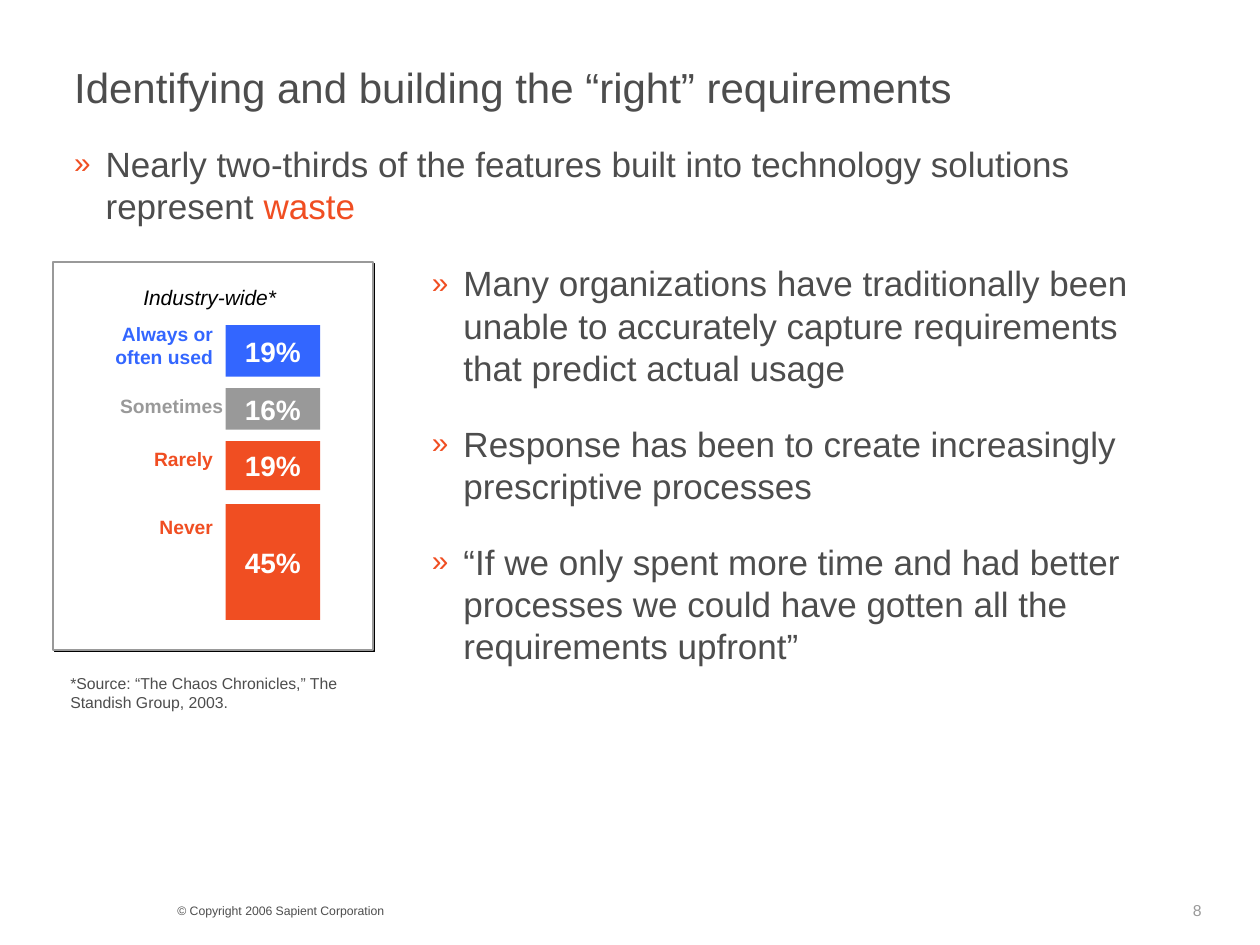
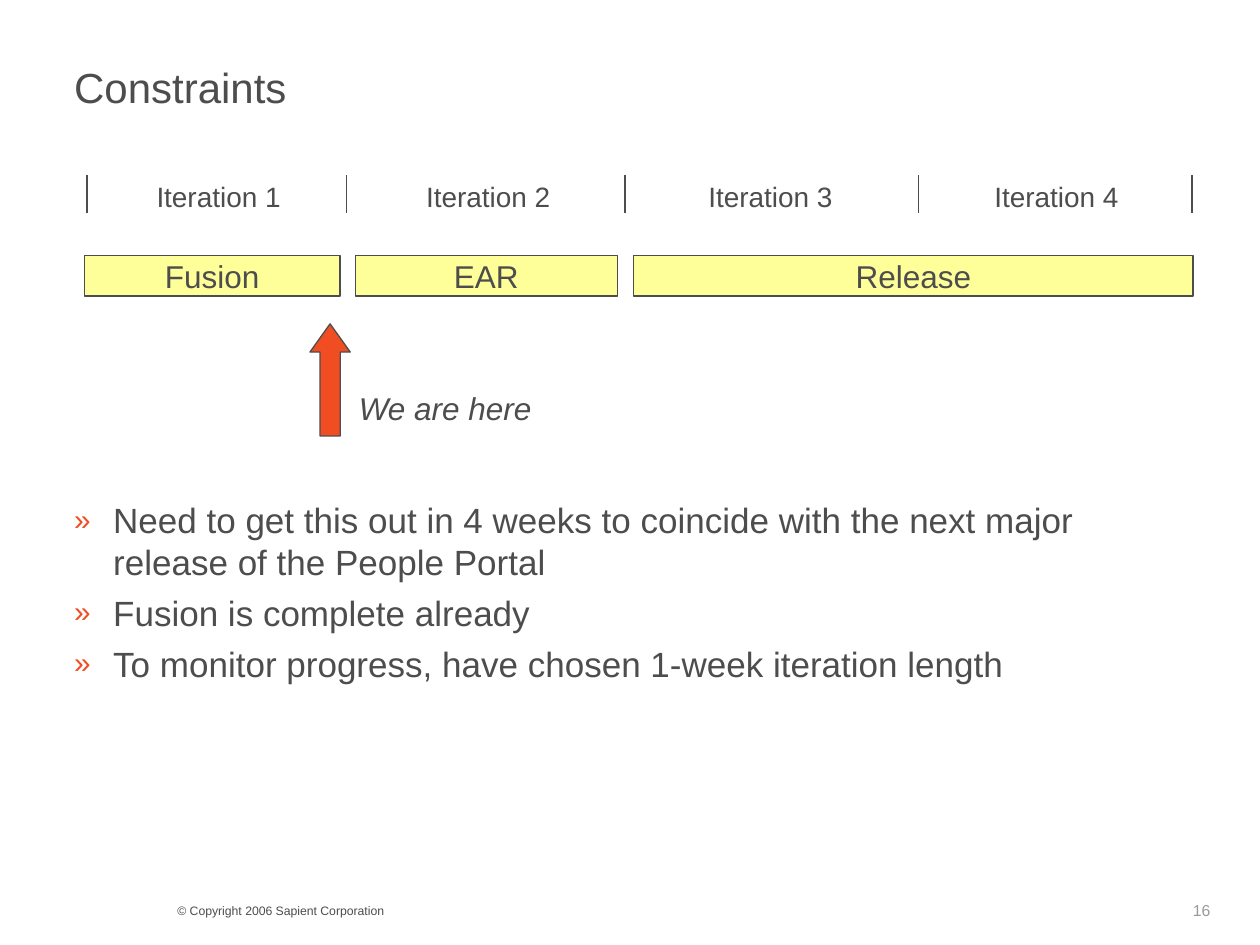
import dataclasses
import typing

import lxml.etree
import pptx
import pptx.dml.color
import pptx.enum.shapes
import pptx.enum.text
import pptx.oxml.ns
import pptx.util

Inches = pptx.util.Inches
Pt = pptx.util.Pt
RGBColor = pptx.dml.color.RGBColor
Align = pptx.enum.text.PP_ALIGN
Anchor = pptx.enum.text.MSO_ANCHOR
Shape = pptx.enum.shapes.MSO_SHAPE
qn = pptx.oxml.ns.qn

CHARCOAL = RGBColor(0x4D, 0x4D, 0x4D)
GRAY = RGBColor(0x99, 0x99, 0x99)
ORANGE = RGBColor(0xF0, 0x4E, 0x22)
BLUE = RGBColor(0x33, 0x66, 0xFF)
YELLOW = RGBColor(0xFF, 0xFF, 0x99)
WHITE = RGBColor(0xFF, 0xFF, 0xFF)
BLACK = RGBColor(0x00, 0x00, 0x00)

FONT = "Arial"
LINE_WIDTH = Pt(0.75)


class Area(typing.NamedTuple):
    """Left, top, width and height in inches."""

    left: float
    top: float
    width: float
    height: float

    def lengths(self) -> list[pptx.util.Length]:
        return [Inches(value) for value in self]


@dataclasses.dataclass(frozen=True)
class Style:
    size: float
    color: RGBColor = CHARCOAL
    bold: bool = False
    italic: bool = False
    align: Align = Align.LEFT


class Span(typing.NamedTuple):
    text: str
    color: RGBColor = CHARCOAL


@dataclasses.dataclass(frozen=True)
class UsageBar:
    label: str
    share: str
    color: RGBColor
    top: float
    height: float
    label_top: float
    label_right: float = 1.79


class Phase(typing.NamedTuple):
    name: str
    left: float
    right: float


TITLE = Style(24)
BODY = Style(20)
COPYRIGHT = Style(7)
PAGE_NUMBER = Style(9, GRAY)
SOURCE = Style(9)
CHART_TITLE = Style(12, BLACK, italic=True, align=Align.CENTER)
SHARE = Style(16, WHITE, bold=True, align=Align.CENTER)
ITERATION = Style(16, align=Align.CENTER)
PHASE = Style(18, align=Align.CENTER)
MARKER = Style(18, italic=True)

USAGE_BARS = [
    UsageBar("Always or often used", "19%", BLUE, 2.58, 0.41, 2.51),
    UsageBar("Sometimes", "16%", GRAY, 3.08, 0.33, 3.08, 1.87),
    UsageBar("Rarely", "19%", ORANGE, 3.5, 0.39, 3.5),
    UsageBar("Never", "45%", ORANGE, 4, 0.92, 4.04),
]
BAR_LEFT, BAR_WIDTH, LABEL_WIDTH = 1.79, 0.75, 1.33

ITERATION_TICKS = [0.69, 2.75, 4.96, 7.29, 9.46]
ITERATION_LEFTS = [0.93, 3.07, 5.31, 7.58]
TICK_TOP, TICK_BOTTOM = 1.39, 1.69
PHASES = [
    Phase("Fusion", 0.67, 2.7),
    Phase("EAR", 2.82, 4.9),
    Phase("Release", 5.03, 9.47),
]


def add_run(para, text: str, style: Style, color: RGBColor) -> None:
    run = para.add_run()
    run.text = text
    run.font.name = FONT
    run.font.size = Pt(style.size)
    run.font.bold = style.bold
    run.font.italic = style.italic
    run.font.color.rgb = color


def write_line(frame, text: str, style: Style) -> None:
    para = frame.paragraphs[0]
    para.alignment = style.align
    add_run(para, text, style, style.color)


def add_frame(page, area: Area):
    frame = page.shapes.add_textbox(*area.lengths()).text_frame
    frame.word_wrap = True
    return frame


def add_text(page, area: Area, text: str, style: Style) -> None:
    write_line(add_frame(page, area), text, style)


def add_bullets(
    page, area: Area, items: list[list[Span]], indent: float, gap: float
) -> None:
    """Write one bulleted paragraph per item, with gap points between them."""
    frame = add_frame(page, area)
    for index, spans in enumerate(items):
        para = frame.add_paragraph() if index else frame.paragraphs[0]
        properties = para._p.get_or_add_pPr()
        properties.set("marL", str(Inches(indent)))
        properties.set("indent", str(-Inches(indent)))
        bullet_color = lxml.etree.SubElement(properties, qn("a:buClr"))
        lxml.etree.SubElement(bullet_color, qn("a:srgbClr"), val=str(ORANGE))
        lxml.etree.SubElement(properties, qn("a:buSzPct"), val="85000")
        lxml.etree.SubElement(properties, qn("a:buFont"), typeface=FONT)
        lxml.etree.SubElement(properties, qn("a:buChar"), char="»")
        if index:
            para.space_before = Pt(gap)
        for span in spans:
            add_run(para, span.text, BODY, span.color)


def add_block(
    page,
    area: Area,
    fill: RGBColor,
    line: RGBColor | None = None,
    kind: Shape = Shape.RECTANGLE,
):
    block = page.shapes.add_shape(kind, *area.lengths())
    block.shadow.inherit = False
    block.fill.solid()
    block.fill.fore_color.rgb = fill
    if line is None:
        block.line.fill.background()
    else:
        block.line.color.rgb = line
        block.line.width = LINE_WIDTH
    return block


def add_labelled_block(
    page, area: Area, fill: RGBColor, line: RGBColor | None, text: str, style: Style
) -> None:
    frame = add_block(page, area, fill, line).text_frame
    frame.vertical_anchor = Anchor.MIDDLE
    frame.word_wrap = True
    write_line(frame, text, style)


def add_hard_shadow(block) -> None:
    effects = block._element.spPr.find(qn("a:effectLst"))
    shadow = lxml.etree.SubElement(
        effects,
        qn("a:outerShdw"),
        blurRad="0",
        dist=str(Pt(1.4)),
        dir="2700000",
        algn="ctr",
        rotWithShape="0",
    )
    lxml.etree.SubElement(shadow, qn("a:srgbClr"), val=str(BLACK))


def add_tick(page, x: float) -> None:
    tick = page.shapes.add_connector(
        pptx.enum.shapes.MSO_CONNECTOR.STRAIGHT,
        Inches(x),
        Inches(TICK_TOP),
        Inches(x),
        Inches(TICK_BOTTOM),
    )
    tick.line.color.rgb = CHARCOAL
    tick.line.width = LINE_WIDTH
    lxml.etree.SubElement(tick._element.spPr, qn("a:effectLst"))


def add_page(deck, title: str, number: int):
    """Add a blank slide with the shared title and footer."""
    page = deck.slides.add_slide(deck.slide_layouts[6])
    add_text(
        page, Area(1.31, 7.12, 4, 0.22), "© Copyright 2006 Sapient Corporation", COPYRIGHT
    )
    add_text(page, Area(9.37, 7.1, 0.6, 0.24), str(number), PAGE_NUMBER)
    add_text(page, Area(0.49, 0.44, 9, 0.55), title, TITLE)
    return page


def add_usage_panel(page) -> None:
    panel = add_block(page, Area(0.42, 2.08, 2.54, 3.08), WHITE, GRAY)
    add_hard_shadow(panel)
    add_text(page, Area(0.76, 2.21, 1.81, 0.3), "Industry-wide*", CHART_TITLE)
    for bar in USAGE_BARS:
        bar_area = Area(BAR_LEFT, bar.top, BAR_WIDTH, bar.height)
        add_labelled_block(page, bar_area, bar.color, None, bar.share, SHARE)
        label_area = Area(bar.label_right - LABEL_WIDTH, bar.label_top, LABEL_WIDTH, 0.29)
        label_style = Style(11, bar.color, bold=True, align=Align.RIGHT)
        add_text(page, label_area, bar.label, label_style)
    add_text(
        page,
        Area(0.46, 5.3, 2.58, 0.55),
        "*Source: “The Chaos Chronicles,” The Standish Group, 2003.",
        SOURCE,
    )


def build_requirements_page(deck) -> None:
    page = add_page(deck, "Identifying and building the “right” requirements", 8)
    finding = [
        Span("Nearly two-thirds of the features built into technology solutions represent "),
        Span("waste", ORANGE),
    ]
    add_bullets(page, Area(0.49, 1.08, 9, 0.9), [finding], 0.25, 0)
    add_usage_panel(page)
    reasons = [
        "Many organizations have traditionally been unable to accurately capture "
        "requirements that predict actual usage",
        "Response has been to create increasingly prescriptive processes",
        "“If we only spent more time and had better processes we could have gotten "
        "all the requirements upfront”",
    ]
    items = [[Span(reason)] for reason in reasons]
    add_bullets(page, Area(3.33, 2.03, 5.92, 3.91), items, 0.25, 19.5)


def build_constraints_page(deck) -> None:
    page = add_page(deck, "Constraints", 16)
    constraints = [
        "Need to get this out in 4 weeks to coincide with the next major release "
        "of the People Portal",
        "Fusion is complete already",
        "To monitor progress, have chosen 1-week iteration length",
    ]
    items = [[Span(constraint)] for constraint in constraints]
    add_bullets(page, Area(0.49, 3.91, 9, 2.82), items, 0.31, 5)

    for phase in PHASES:
        area = Area(phase.left, 2.03, phase.right - phase.left, 0.32)
        add_labelled_block(page, area, YELLOW, CHARCOAL, phase.name, PHASE)
    for x in ITERATION_TICKS:
        add_tick(page, x)
    for number, left in enumerate(ITERATION_LEFTS, 1):
        add_text(page, Area(left, 1.38, 1.61, 0.37), f"Iteration {number}", ITERATION)

    arrow_area = Area(2.46, 2.57, 0.32, 0.89)
    arrow = add_block(page, arrow_area, ORANGE, CHARCOAL, Shape.UP_ARROW)
    arrow.adjustments[0] = 0.5
    arrow.adjustments[1] = 0.7
    add_text(page, Area(2.75, 3.04, 1.74, 0.4), "We are here", MARKER)


def main() -> None:
    deck = pptx.Presentation()
    deck.slide_width = Inches(10)
    deck.slide_height = Inches(7.5)
    build_requirements_page(deck)
    build_constraints_page(deck)
    deck.save("out.pptx")


if __name__ == "__main__":
    main()
